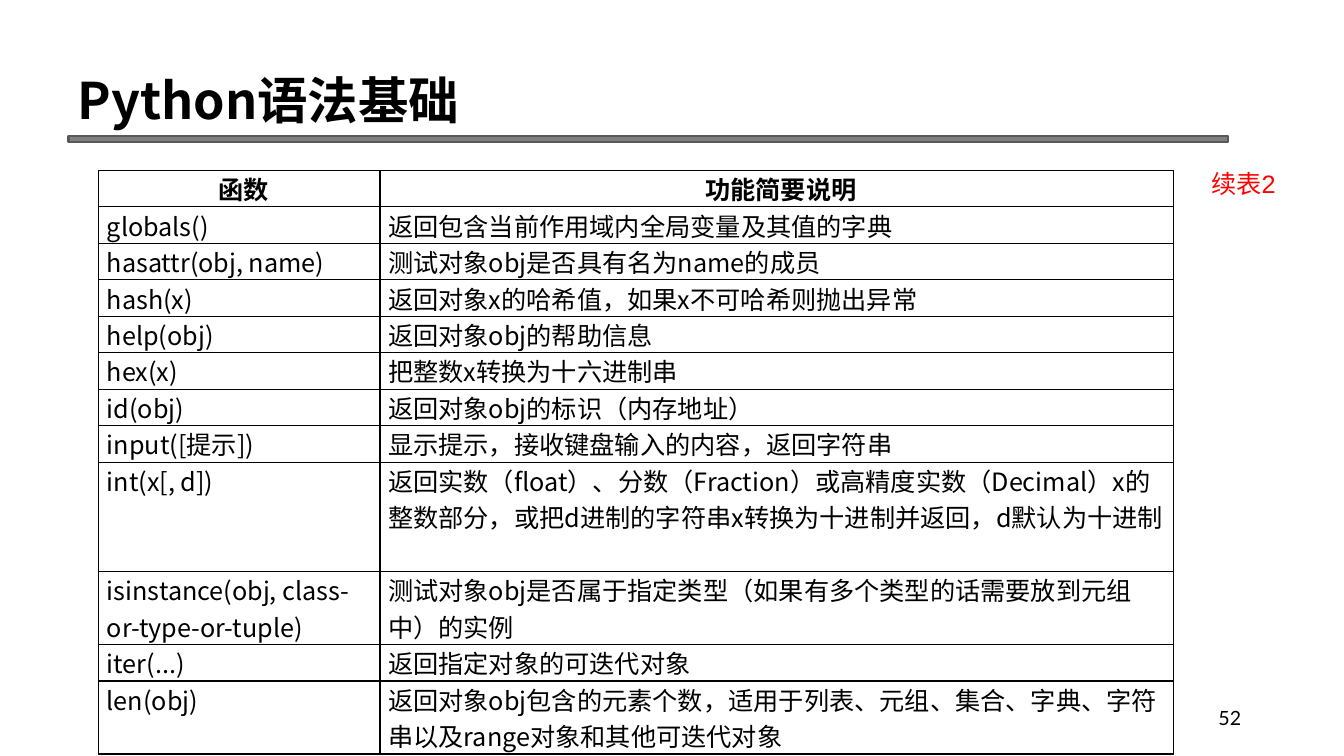
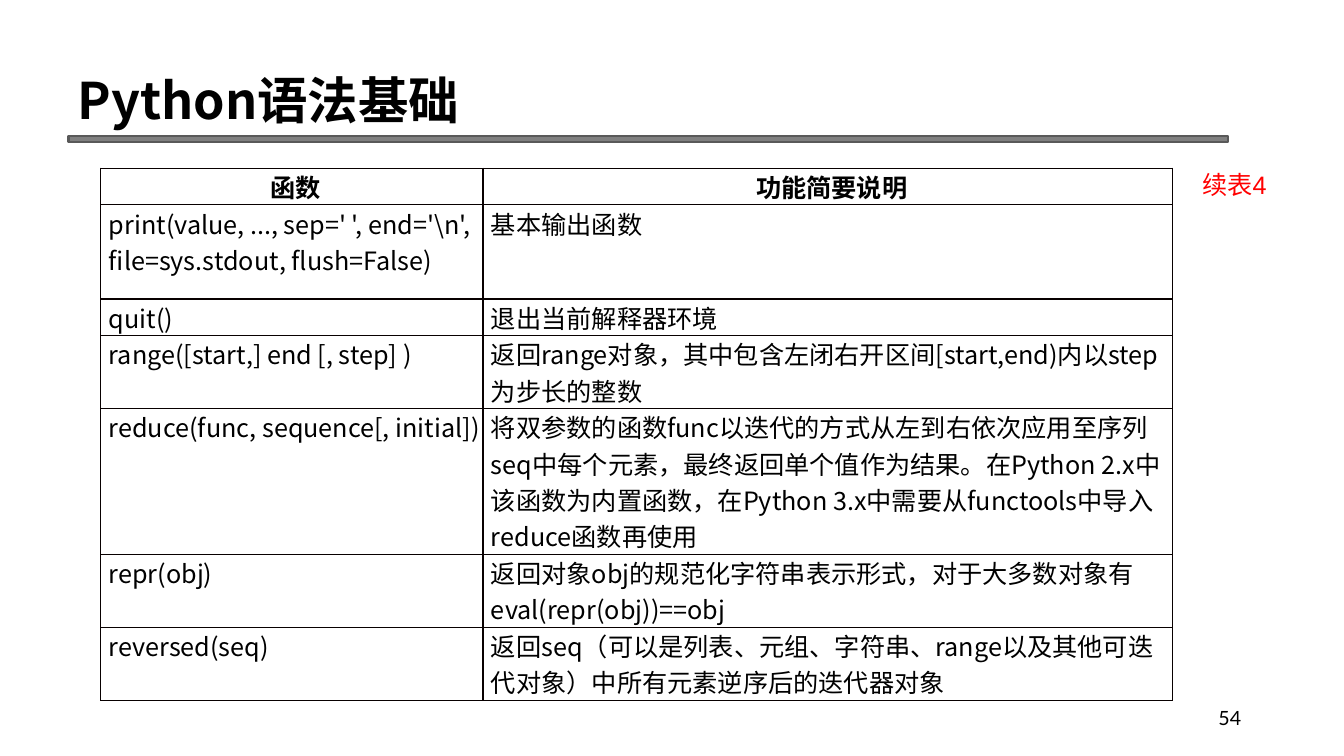
"""Build two slides of tables that describe Python built-in functions."""
from lxml import etree
from pptx import Presentation
from pptx.dml.color import RGBColor
from pptx.enum.shapes import MSO_SHAPE
from pptx.enum.text import MSO_ANCHOR, PP_ALIGN
from pptx.oxml.ns import qn
from pptx.util import Pt

RECTANGLE = MSO_SHAPE.RECTANGLE
BOTTOM = MSO_ANCHOR.BOTTOM
LEFT, CENTER, RIGHT = PP_ALIGN.LEFT, PP_ALIGN.CENTER, PP_ALIGN.RIGHT

PX = 9144
TEXT_LINE = Pt(26.06)
BLACK, RED = "000000", "FF0000"
RULE_FILL, RULE_LINE = "808080", "595959"
GRID = "080000"
CJK, LATIN, ARIAL = "Noto Sans CJK SC", "Lato", "Arial"
TITLE = "Python语法基础"
HEADER = ("函数", "功能简要说明")

PAGES = [
    {
        "number": "52",
        "note": "续表2",
        "note_at": (1131, 162),
        "table_at": (98, 169),
        "columns": (279, 787),
        "row_lines": (1, 1, 1, 1, 1, 1, 1, 1, 3, 2, 1, 2),
        "functions": [
            ("globals()", "返回包含当前作用域内全局变量及其值的字典"),
            ("hasattr(obj, name)", "测试对象obj是否具有名为name的成员"),
            ("hash(x)", "返回对象x的哈希值，如果x不可哈希则抛出异常"),
            ("help(obj)", "返回对象obj的帮助信息"),
            ("hex(x)", "把整数x转换为十六进制串"),
            ("id(obj)", "返回对象obj的标识（内存地址）"),
            ("input([提示])", "显示提示，接收键盘输入的内容，返回字符串"),
            ("int(x[, d])",
             "返回实数（float）、分数（Fraction）或高精度实数（Decimal）"
             "x的整数部分，或把d进制的字符串x转换为十进制并返回，d默认为十进制"),
            ("isinstance(obj, class-or-type-or-tuple)",
             "测试对象obj是否属于指定类型（如果有多个类型的话需要放到元组中）的实例"),
            ("iter(...)", "返回指定对象的可迭代对象"),
            ("len(obj)",
             "返回对象obj包含的元素个数，适用于列表、元组、集合、字典、"
             "字符串以及range对象和其他可迭代对象"),
        ],
    },
    {
        "number": "54",
        "note": "续表4",
        "note_at": (1122, 163),
        "table_at": (100, 167),
        "columns": (379, 684),
        "row_lines": (1, 2.58, 1, 2, 4, 2, 2),
        "functions": [
            ("print(value, ..., sep=' ', end='\\n', file=sys.stdout, flush=False)",
             "基本输出函数"),
            ("quit()", "退出当前解释器环境"),
            ("range([start,] end [, step] )",
             "返回range对象，其中包含左闭右开区间[start,end)内以step为步长的整数"),
            ("reduce(func, sequence[, initial])",
             "将双参数的函数func以迭代的方式从左到右依次应用至序列seq中每个元素，"
             "最终返回单个值作为结果。在Python 2.x中该函数为内置函数，"
             "在Python 3.x中需要从functools中导入reduce函数再使用"),
            ("repr(obj)",
             "返回对象obj的规范化字符串表示形式，对于大多数对象有eval(repr(obj))==obj"),
            ("reversed(seq)",
             "返回seq（可以是列表、元组、字符串、range以及其他可迭代对象）"
             "中所有元素逆序后的迭代器对象"),
        ],
    },
]


def rgb(value):
    return RGBColor.from_string(value)


def write(frame, text, size, family, color=BLACK, bold=False, align=LEFT):
    frame.word_wrap = True
    paragraph = frame.paragraphs[0]
    paragraph.text = text
    paragraph.alignment = align
    font = paragraph.font
    font.size, font.name, font.bold = Pt(size), family, bold
    font.color.rgb = rgb(color)
    defaults = paragraph._p.find(qn("a:pPr")).find(qn("a:defRPr"))
    etree.SubElement(defaults, qn("a:ea"), typeface=CJK)


deck = Presentation()
deck.slide_width, deck.slide_height = 1333 * PX, 750 * PX

for page in PAGES:
    slide = deck.slides.add_slide(deck.slide_layouts[5])

    rule = slide.shapes.add_shape(RECTANGLE, 68 * PX, 135 * PX, 1150 * PX, 6 * PX)
    rule.shadow.inherit = False
    rule.fill.solid()
    rule.fill.fore_color.rgb = rgb(RULE_FILL)
    rule.line.color.rgb = rgb(RULE_LINE)
    rule.line.width = Pt(1.5)

    title = slide.shapes.title
    title.left, title.top, title.width, title.height = 67 * PX, 9 * PX, 1136 * PX, 125 * PX
    title.text_frame.vertical_anchor = BOTTOM
    write(title.text_frame, TITLE, 36, CJK, bold=True)

    number = slide.shapes.add_textbox(941 * PX, 695 * PX, 300 * PX, 40 * PX)
    write(number.text_frame, page["number"], 14, LATIN, align=RIGHT)

    left, top = page["table_at"]
    rows = [HEADER] + page["functions"]
    heights = [int(lines * TEXT_LINE) for lines in page["row_lines"]]
    reference = slide.shapes.add_table(
        len(rows), len(HEADER), left * PX, top * PX,
        sum(page["columns"]) * PX, sum(heights)).table
    reference.first_row = reference.horz_banding = False
    for column, width in zip(reference.columns, page["columns"]):
        column.width = width * PX
    for row, height, texts in zip(reference.rows, heights, rows):
        row.height = height
        heading = texts is HEADER
        for cell, text in zip(row.cells, texts):
            cell.margin_left = 8 * PX
            cell.margin_top = cell.margin_right = cell.margin_bottom = 0
            write(cell.text_frame, text, 18, CJK, bold=heading,
                  align=CENTER if heading else LEFT)
            properties = cell._tc.get_or_add_tcPr()
            for side in ("lnL", "lnR", "lnT", "lnB"):
                border = etree.SubElement(properties, qn(f"a:{side}"), w=str(Pt(1)))
                paint = etree.SubElement(border, qn("a:solidFill"))
                etree.SubElement(paint, qn("a:srgbClr"), val=GRID)
            cell.fill.background()

    note_left, note_top = page["note_at"]
    note = slide.shapes.add_textbox(note_left * PX, note_top * PX, 144 * PX, 40 * PX)
    write(note.text_frame, page["note"], 18, ARIAL, RED, align=RIGHT)

deck.save("out.pptx")
